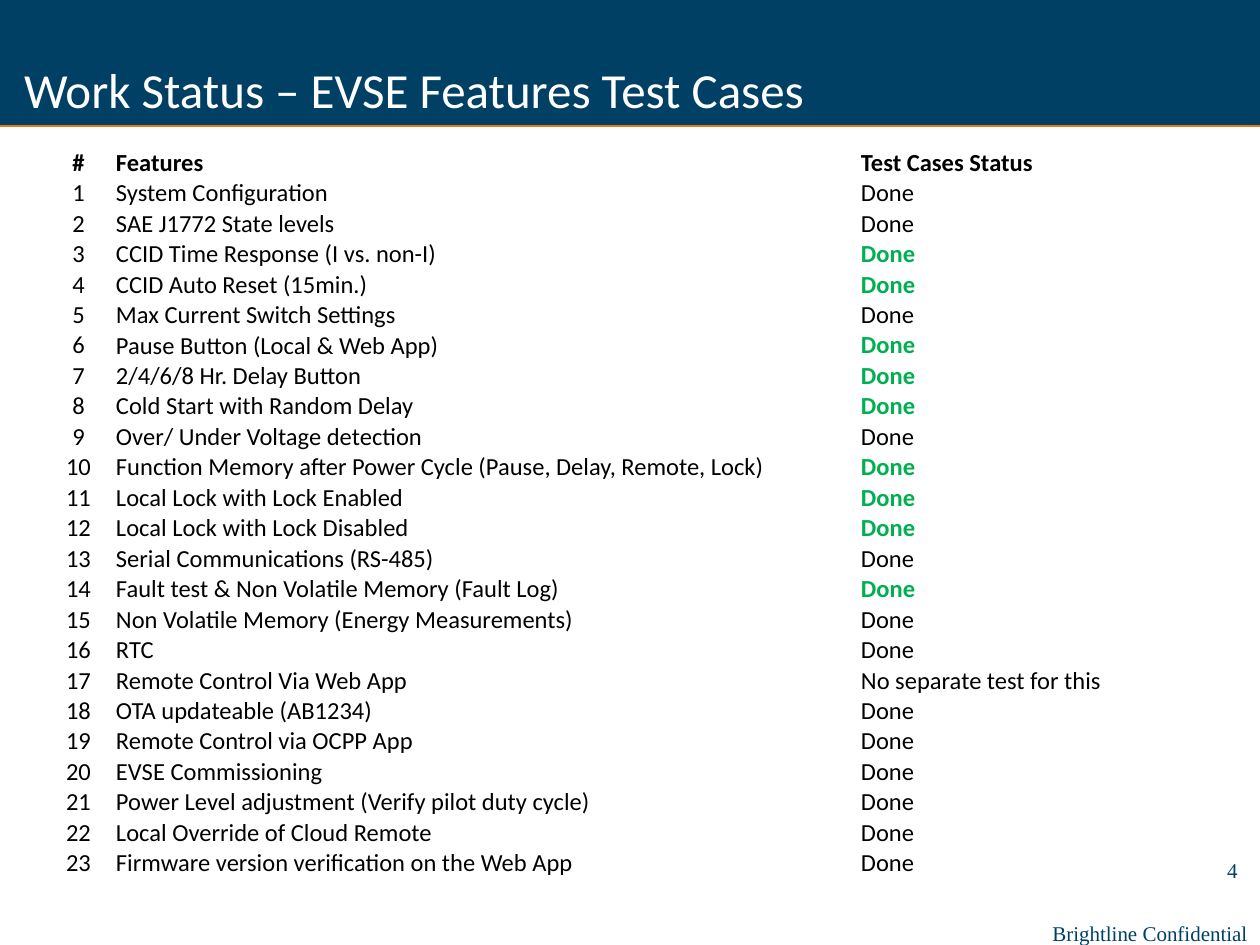
from lxml.etree import SubElement as Sub
from pptx import Presentation
from pptx.dml.color import RGBColor as RGB
from pptx.enum.shapes import MSO_CONNECTOR as Conn, MSO_SHAPE as Shape
from pptx.enum.text import MSO_ANCHOR as Anchor, MSO_AUTO_SIZE as Fit, PP_ALIGN as Align
from pptx.oxml import parse_xml
from pptx.oxml.ns import nsdecls, qn
from pptx.util import Pt

PX = 914400 / 126
NAVY = RGB(0x00, 0x40, 0x65)
AMBER = RGB(0xE7, 0x78, 0x17)
WHITE = RGB(0xFF, 0xFF, 0xFF)
BLACK = RGB(0x00, 0x00, 0x00)
GREEN = RGB(0x00, 0xB0, 0x50)

HEADS = ("#", "Features", "Test Cases Status")
ITEMS = (
    "System Configuration",
    "SAE J1772 State levels",
    "CCID Time Response (I vs. non-I)",
    "CCID Auto Reset (15min.)",
    "Max Current Switch Settings",
    "Pause Button (Local & Web App)",
    "2/4/6/8 Hr. Delay Button",
    "Cold Start with Random Delay",
    "Over/ Under Voltage detection",
    "Function Memory after Power Cycle (Pause, Delay, Remote, Lock)",
    "Local Lock with Lock Enabled",
    "Local Lock with Lock Disabled",
    "Serial Communications (RS-485)",
    "Fault test & Non Volatile Memory (Fault Log)",
    "Non Volatile Memory (Energy Measurements)",
    "RTC",
    "Remote Control Via Web App",
    "OTA updateable (AB1234)",
    "Remote Control via OCPP App",
    "EVSE Commissioning",
    "Power Level adjustment (Verify pilot duty cycle)",
    "Local Override of Cloud Remote",
    "Firmware version verification on the Web App",
)
FRESH = {3, 4, 6, 7, 8, 10, 11, 12, 14}
NOTES = {17: "No separate test for this"}


def px(n):
    return round(n * PX)


def put(item, **form):
    for key, val in form.items():
        setattr(item, key, val)


def write(frame, text, size, face, tint, bold=False, align=Align.LEFT):
    par = frame.paragraphs[0]
    par.alignment = align
    run = par.add_run()
    run.text = text
    put(run.font, size=Pt(size), name=face, bold=bold)
    run.font.color.rgb = tint


def header(slide, x, y, w, h):
    band = slide.shapes.add_shape(Shape.RECTANGLE, px(x), px(y), px(w), px(h))
    band.shadow.inherit = False
    band.fill.solid()
    band.fill.fore_color.rgb = NAVY
    band.line.fill.background()

    rule = slide.shapes.add_connector(
        Conn.STRAIGHT, px(x), px(y + h), px(x + w), px(y + h))
    rule.line.color.rgb = AMBER
    rule.line.width = Pt(0.75)
    Sub(rule._element.spPr, qn("a:effectLst"))

    title = slide.shapes.title
    slide.shapes._spTree.append(title._element)
    put(title, left=px(x), top=px(y + 53), width=px(w - 126), height=px(105))
    put(title.text_frame, margin_left=px(24), vertical_anchor=Anchor.TOP,
        auto_size=Fit.NONE, word_wrap=True)
    write(title.text_frame, "Work Status – EVSE Features Test Cases",
          28, "Calibri", WHITE)


def frame_cell(cell):
    props = cell._tc.get_or_add_tcPr()
    for i, side in enumerate("LRTB"):
        props.insert(i, parse_xml(
            f'<a:ln{side} {nsdecls("a")} w="12700"><a:solidFill>'
            f'<a:srgbClr val="{WHITE}"/></a:solidFill></a:ln{side}>'))


def status(slide, x, y, cols, high):
    rows = [(HEADS, True, BLACK)]
    for num, item in enumerate(ITEMS, 1):
        fresh = num in FRESH
        rows.append(((str(num), item, NOTES.get(num, "Done")),
                     fresh, GREEN if fresh else BLACK))

    grid = slide.shapes.add_table(
        len(rows), len(cols), px(x), px(y), px(sum(cols)),
        px(high * len(rows))).table
    put(grid, first_row=False, horz_banding=False)
    for col, wide in zip(grid.columns, cols):
        col.width = px(wide)

    for r, (texts, bold, tint) in enumerate(rows):
        grid.rows[r].height = px(high)
        for c, text in enumerate(texts):
            cell = grid.cell(r, c)
            put(cell, margin_left=px(1), margin_right=px(1),
                margin_top=px(1), margin_bottom=0,
                vertical_anchor=Anchor.MIDDLE if r and c == 1 else Anchor.BOTTOM)
            cell.fill.solid()
            cell.fill.fore_color.rgb = WHITE
            frame_cell(cell)
            mark = r == 0 or c == 2
            write(cell.text_frame, text, 14, "Calibri",
                  tint if mark else BLACK, bold and mark,
                  Align.LEFT if c else Align.CENTER)


def label(slide, text, x, y, w, h, align):
    box = slide.shapes.add_textbox(px(x), px(y), px(w), px(h))
    box.text_frame.word_wrap = True
    write(box.text_frame, text, 12, "Times New Roman", NAVY, align=align)


def footer(slide, x, y):
    label(slide, "4", x + 132, y, 78, 38, Align.RIGHT)
    label(slide, "Brightline Confidential", x, y + 63, 224, 38, Align.LEFT)


def main():
    deck = Presentation()
    put(deck, slide_width=px(1260), slide_height=px(945))
    slide = deck.slides.add_slide(deck.slide_layouts[5])
    header(slide, 0, 0, 1260, 126)
    footer(slide, 1040, 851)
    status(slide, 42, 147, (73, 745, 358), 29)
    deck.save("out.pptx")


if __name__ == "__main__":
    main()
